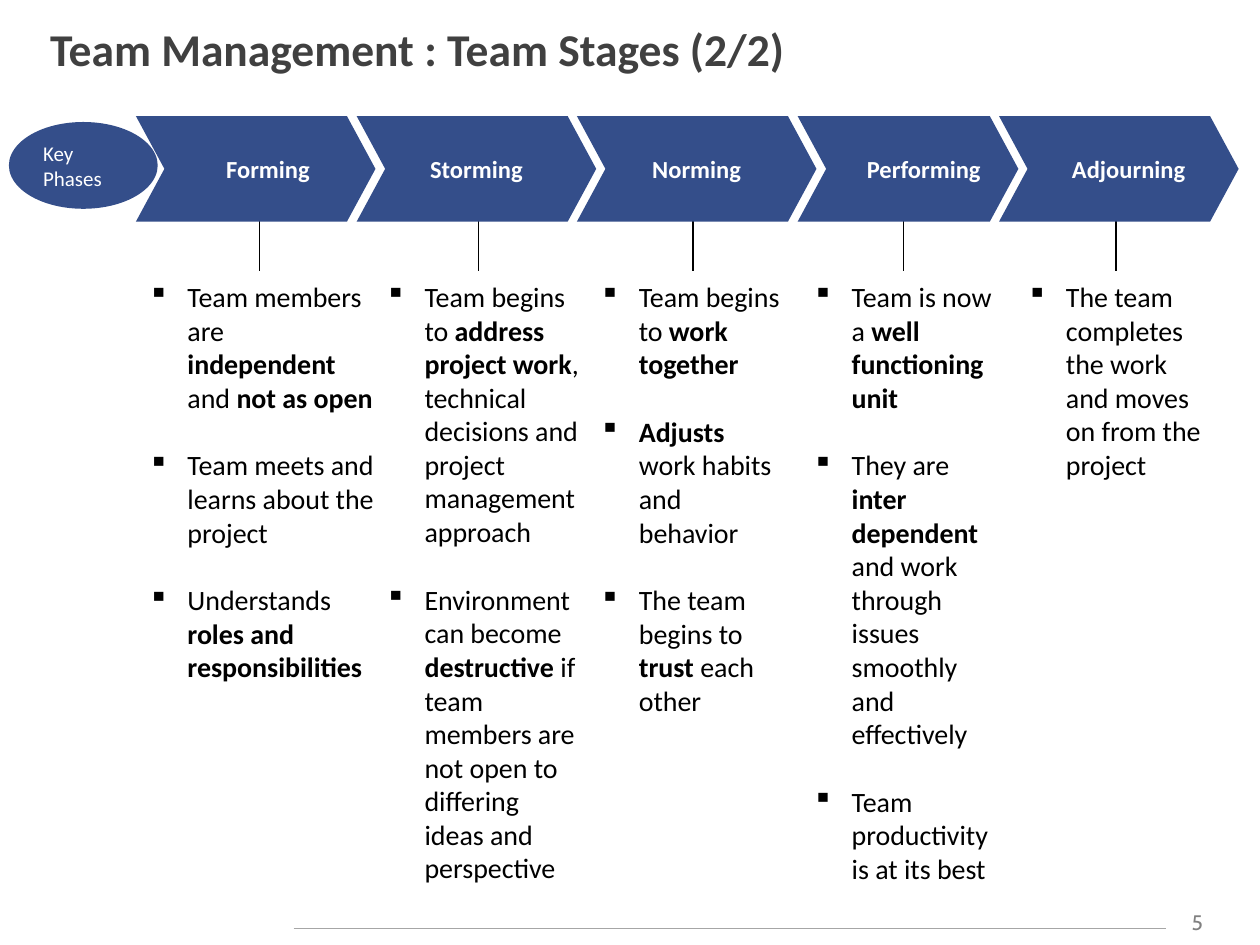
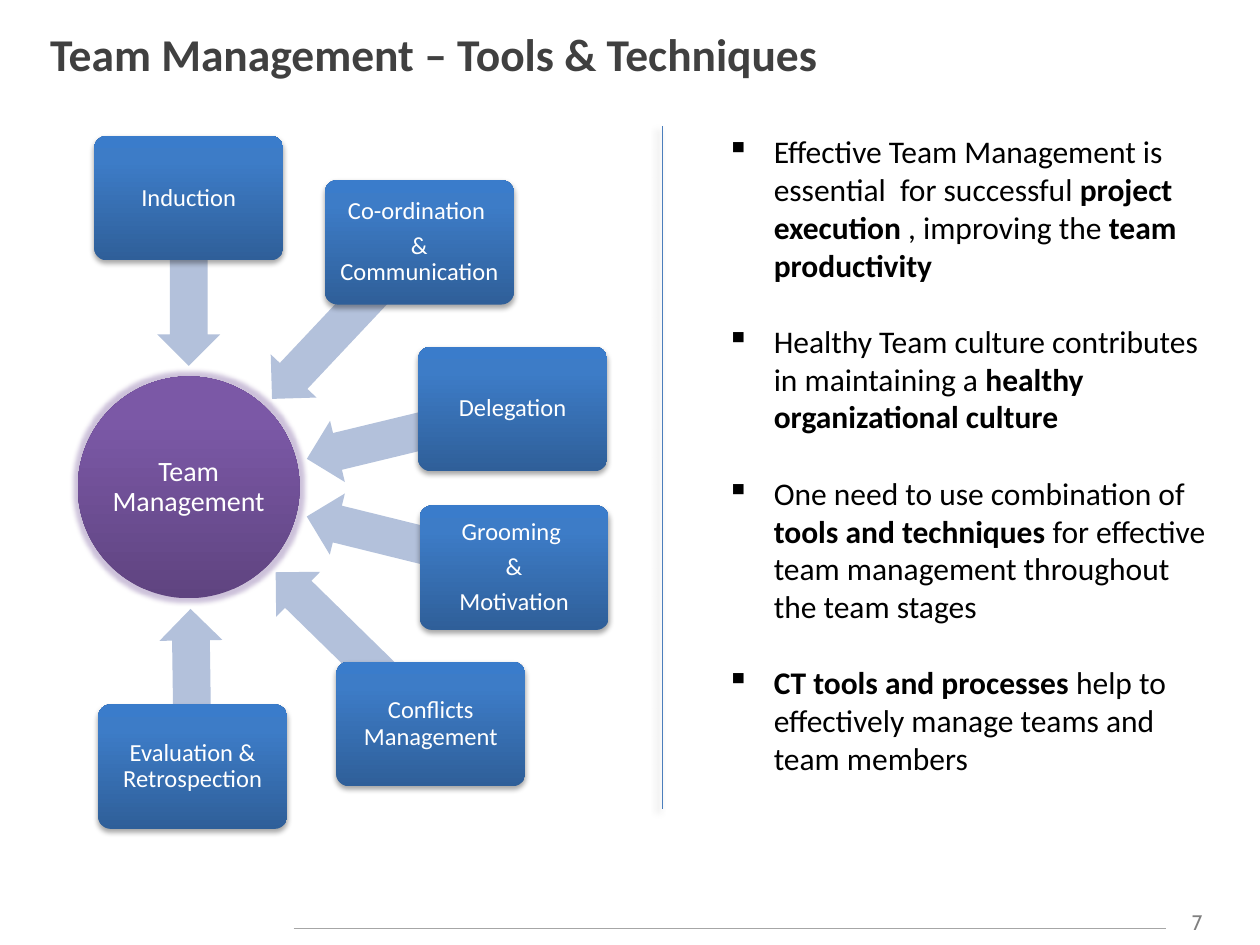
import math

import pptx
import pptx.util
import pptx.dml.color
import pptx.enum.shapes
import pptx.enum.text
import pptx.oxml.ns
import lxml.etree

Cm = pptx.util.Cm
Pt = pptx.util.Pt
SHAPE = pptx.enum.shapes.MSO_SHAPE
ALIGN = pptx.enum.text.PP_ALIGN
ANCHOR = pptx.enum.text.MSO_ANCHOR
qn = pptx.oxml.ns.qn

COLORS = {
    "title": "404040", "text": "000000", "light": "FFFFFF", "number": "808080",
    "rule": "A6A6A6", "phase": "344E8A", "arrow": "B3C1DB", "divider": "4B7EBC",
    "glow": "8064A2", "shadow": "000000",
}
HUB_STOPS = [(0, "5F4480"), (80, "7B58A6"), (100, "7C57A8")]
TOOL_STOPS = [(0, "2F5F99"), (80, "3D7CC7"), (100, "3A7CCB")]
FONT = "Calibri"

STAGES = [
    {"name": "Forming", "left": 2.74, "width": 4.83, "shift": 0.5, "stem": 5.23,
     "column": (2.74, 5.08, 8.46), "points": [
         "Team members are **independent** and **not as open**",
         "Team meets and learns about the project",
         "Understands **roles and responsibilities**"]},
    {"name": "Storming", "left": 7.19, "width": 4.83, "shift": 0, "stem": 9.65,
     "column": (7.52, 4.5, 12.57), "points": [
         "Team begins to **address project work**, technical decisions and project management approach",
         "Environment can become **destructive** if team members are not open to differing ideas and perspective"]},
    {"name": "Norming", "left": 11.63, "width": 4.83, "shift": 0, "stem": 13.97,
     "column": (11.84, 4.24, 9.14), "points": [
         "Team begins to **work together**",
         "**Adjusts **work habits and behavior",
         "The team begins to **trust** each other"]},
    {"name": "Performing", "left": 16.08, "width": 4.45, "shift": 0.64, "stem": 18.21,
     "column": (16.13, 4.24, 12.57), "points": [
         "Team is now a **well functioning unit**",
         "They are **inter dependent** and work through issues smoothly and effectively",
         "Team productivity is at its best"]},
    {"name": "Adjourning", "left": 20.14, "width": 4.83, "shift": 0.4, "stem": 22.5,
     "column": (20.45, 4.24, 4.37), "points": [
         "The team completes the work and moves on from the project"]},
]
CHEVRON_TOP, CHEVRON_HEIGHT = 2.34, 2.13
STEM_TOP, STEM_BOTTOM, COLUMN_TOP = 4.03, 5.47, 5.51

TOOLS = [
    ("Induction", 1.9, 2.74),
    ("Co-ordination \n& Communication", 6.55, 3.63),
    ("Conflicts Management", 6.78, 13.34),
    ("Delegation", 8.43, 6.99),
    ("Grooming \n&\nMotivation", 8.46, 10.19),
    ("Evaluation & Retrospection", 1.98, 14.2),
]
TOOL_WIDTH, TOOL_HEIGHT = 3.81, 2.51
HUB_LEFT, HUB_TOP, HUB_SIZE = 1.57, 7.59, 4.47
ARROW_REACH, ARROW_HEIGHT = 2.45, 1.27
TAKEAWAYS = [
    "Effective Team Management is essential  for successful** project execution** , improving the **team productivity**",
    "Healthy Team culture contributes in maintaining a **healthy organizational culture**",
    "One need to use combination of **tools and techniques **for effective team management throughout the team stages",
    "**CT tools and processes **help to effectively manage teams and team members",
]


def color(name):
    return pptx.dml.color.RGBColor.from_string(COLORS[name])


def style(holder, size, name, bold=False, font=FONT):
    holder.font.size = Pt(size)
    holder.font.name = font
    holder.font.bold = bold
    holder.font.color.rgb = color(name)


def write(box, text, size, name, bold=False, align=None, anchor=ANCHOR.MIDDLE,
          font=FONT, wrap=True):
    frame = box.text_frame
    frame.text = text
    frame.word_wrap = wrap
    frame.vertical_anchor = anchor
    for para in frame.paragraphs:
        para.alignment = align
        for span in para.runs:
            style(span, size, name, bold, font)


def add_label(page, left, top, width, height, *args, **options):
    box = page.shapes.add_textbox(Cm(left), Cm(top), Cm(width), Cm(height))
    write(box, *args, **options)


def add_bullets(page, left, top, width, height, points, size, indent, gap):
    box = page.shapes.add_textbox(Cm(left), Cm(top), Cm(width), Cm(height))
    frame = box.text_frame
    frame.word_wrap = True
    for index, point in enumerate(points):
        para = frame.add_paragraph() if index else frame.paragraphs[0]
        para.space_before = Pt(gap if index else 0)
        for part, piece in enumerate(point.split("**")):
            if piece:
                span = para.add_run()
                span.text = piece
                style(span, size, "text", part % 2 == 1)
        properties = para._p.get_or_add_pPr()
        properties.set("marL", str(Cm(indent)))
        properties.set("indent", str(-Cm(indent)))
        lxml.etree.SubElement(properties, qn("a:buChar"), char="▪")


def add_shape(page, kind, left, top, width, height, fill=None):
    shape = page.shapes.add_shape(kind, Cm(left), Cm(top), Cm(width), Cm(height))
    shape.shadow.inherit = False
    shape.line.fill.background()
    if fill:
        shape.fill.solid()
        shape.fill.fore_color.rgb = color(fill)
    return shape


def set_gradient(shape, stops):
    shape.fill.gradient()
    shape.fill.gradient_angle = 90
    stop_list = shape._element.spPr.find(qn("a:gradFill")).find(qn("a:gsLst"))
    for stop in list(stop_list):
        stop_list.remove(stop)
    for position, value in stops:
        stop = lxml.etree.SubElement(stop_list, qn("a:gs"), pos=str(position * 1000))
        lxml.etree.SubElement(stop, qn("a:srgbClr"), val=value)


def add_effect(shape, kind, name, alpha, **settings):
    effects = shape._element.spPr.find(qn("a:effectLst"))
    values = {key: str(value) for key, value in settings.items()}
    effect = lxml.etree.SubElement(effects, qn("a:" + kind), **values)
    tint = lxml.etree.SubElement(effect, qn("a:srgbClr"), val=COLORS[name])
    lxml.etree.SubElement(tint, qn("a:alpha"), val=str(alpha * 1000))


def add_line(page, x1, y1, x2, y2, name, weight=0.75):
    line = page.shapes.add_connector(
        pptx.enum.shapes.MSO_CONNECTOR.STRAIGHT, Cm(x1), Cm(y1), Cm(x2), Cm(y2))
    line.line.color.rgb = color(name)
    line.line.width = Pt(weight)
    lxml.etree.SubElement(line._element.spPr, qn("a:effectLst"))
    return line


def add_page(deck, title, number, anchor):
    page = deck.slides.add_slide(deck.slide_layouts[6])
    add_line(page, 5.92, 18.72, 23.5, 18.72, "rule")
    add_label(page, 23.5, 18.21, 1.27, 0.76, number, 12, "number",
              align=ALIGN.CENTER, anchor=ANCHOR.TOP, font="Cabin")
    add_label(page, 0.76, 0.3, 24, 1.57, title, 26, "title", bold=True, anchor=anchor)
    return page


def build_stages(deck):
    page = add_page(deck, "Team Management : Team Stages (2/2)", "5", ANCHOR.TOP)
    for stage in STAGES:
        add_line(page, stage["stem"], STEM_TOP, stage["stem"], STEM_BOTTOM, "text")
        chevron = add_shape(page, SHAPE.CHEVRON, stage["left"], CHEVRON_TOP,
                            stage["width"], CHEVRON_HEIGHT, "phase")
        chevron.adjustments[0] = 0.27
        write(chevron, stage["name"], 14, "light", True, ALIGN.CENTER, wrap=False)
        properties = chevron.text_frame.paragraphs[0]._p.get_or_add_pPr()
        properties.set("marL", str(Cm(stage["shift"])))
        left, width, height = stage["column"]
        add_bullets(page, left, COLUMN_TOP, width, height, stage["points"], 16, 0.79, 19.5)
    key = add_shape(page, SHAPE.OVAL, 0.18, 2.46, 3, 1.75, "phase")
    write(key, "Key\nPhases", 12, "light", align=ALIGN.LEFT)


def write_node(shape, text, size, inset):
    write(shape, text, size, "light", align=ALIGN.CENTER)
    frame = shape.text_frame
    frame.margin_left = frame.margin_right = Cm(inset)
    frame.margin_top = frame.margin_bottom = Cm(inset)
    for para in frame.paragraphs:
        para.line_spacing = 0.9
        para.space_after = Pt(size * 0.35)


def build_tools(deck):
    page = add_page(deck, "Team Management – Tools & Techniques", "7", ANCHOR.MIDDLE)
    hub = add_shape(page, SHAPE.OVAL, HUB_LEFT, HUB_TOP, HUB_SIZE, HUB_SIZE)
    set_gradient(hub, HUB_STOPS)
    add_effect(hub, "glow", "glow", 40, rad=Pt(5))
    write_node(hub, "Team Management", 16, 0.03)
    hub_x, hub_y = HUB_LEFT + HUB_SIZE / 2, HUB_TOP + HUB_SIZE / 2
    for name, left, top in TOOLS:
        dx = left + TOOL_WIDTH / 2 - hub_x
        dy = top + TOOL_HEIGHT / 2 - hub_y
        distance = math.hypot(dx, dy)
        length = distance - ARROW_REACH
        share = (ARROW_REACH + length / 2) / distance
        arrow = add_shape(page, SHAPE.LEFT_ARROW, hub_x + dx * share - length / 2,
                          hub_y + dy * share - ARROW_HEIGHT / 2, length, ARROW_HEIGHT, "arrow")
        arrow.adjustments[0] = 0.6
        arrow.rotation = math.degrees(math.atan2(dy, dx)) % 360
        tool = add_shape(page, SHAPE.ROUNDED_RECTANGLE, left, top, TOOL_WIDTH, TOOL_HEIGHT)
        tool.adjustments[0] = 0.1
        set_gradient(tool, TOOL_STOPS)
        add_effect(tool, "outerShdw", "shadow", 35, blurRad=Pt(3.1), dist=Pt(1.8), dir=5400000)
        write_node(tool, name, 14, 0.08)
    divider = add_line(page, 13.34, 2.54, 13.34, 16.31, "divider", 0.25)
    add_effect(divider, "outerShdw", "shadow", 40, blurRad=Pt(4), dist=Pt(3), dir=8100000)
    add_bullets(page, 14.4, 2.54, 10.36, 13.34, TAKEAWAYS, 18, 0.95, 22)


def main():
    deck = pptx.Presentation()
    deck.slide_width, deck.slide_height = Cm(25.4), Cm(19.05)
    build_stages(deck)
    build_tools(deck)
    deck.save("out.pptx")


if __name__ == "__main__":
    main()
